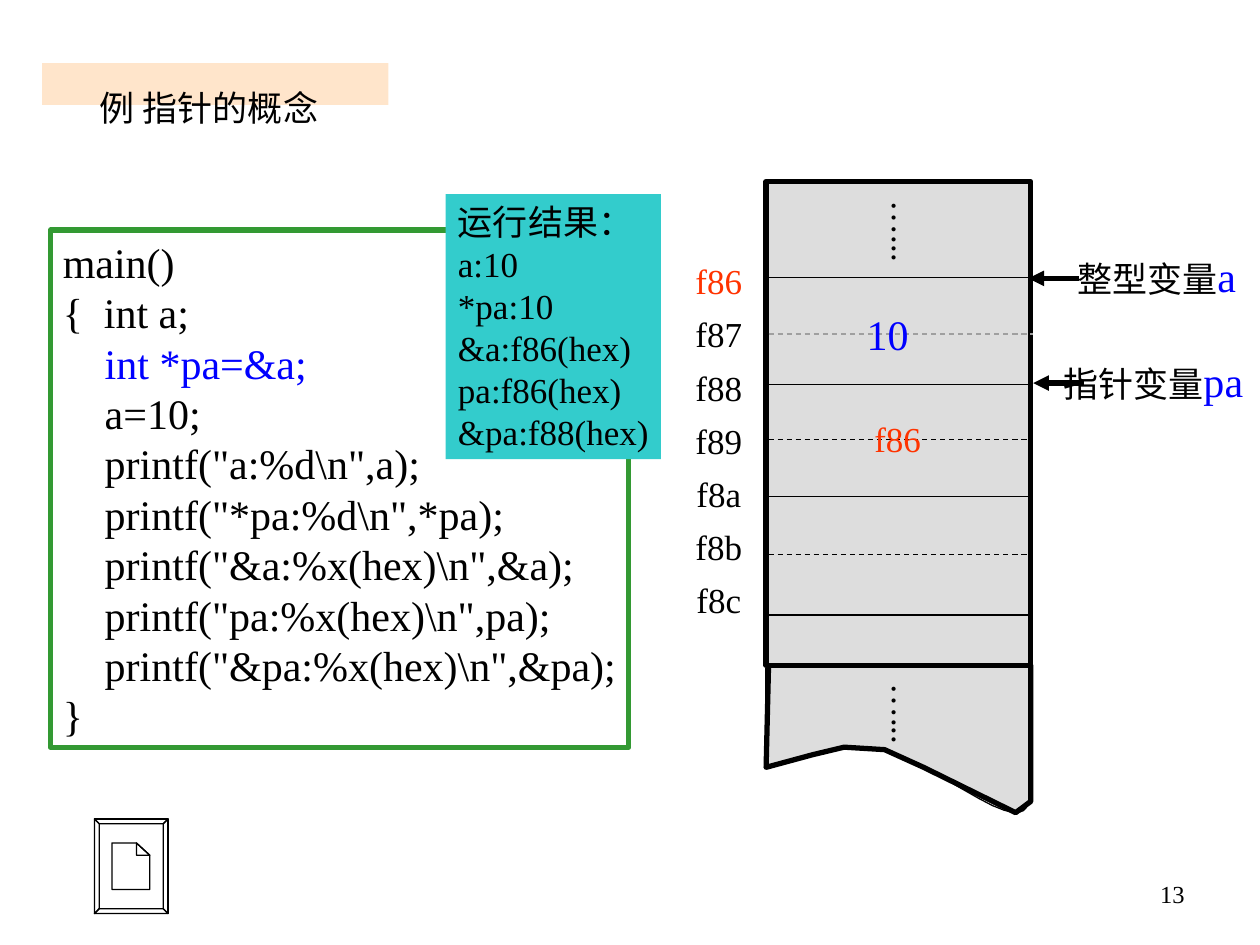
import lxml.etree
import pptx
import pptx.dml.color
import pptx.enum.dml
import pptx.enum.shapes
import pptx.enum.text
import pptx.oxml.ns
import pptx.util

Pt = pptx.util.Pt
RGBColor = pptx.dml.color.RGBColor
qn = pptx.oxml.ns.qn
ALIGN = pptx.enum.text.PP_ALIGN
ANCHOR = pptx.enum.text.MSO_ANCHOR

BLACK = RGBColor(0x00, 0x00, 0x00)
WHITE = RGBColor(0xFF, 0xFF, 0xFF)
BLUE = RGBColor(0x00, 0x00, 0xFF)
RED = RGBColor(0xFF, 0x33, 0x00)
GREEN = RGBColor(0x33, 0x99, 0x33)
TEAL = RGBColor(0x33, 0xCC, 0xCC)
PEACH = RGBColor(0xFF, 0xCC, 0x99)
MEMORY_GRAY = RGBColor(0xDD, 0xDD, 0xDD)
LINE_GRAY = RGBColor(0x9F, 0x9F, 0x9F)
FONT = "Times New Roman"

CODE = [
    "main()",
    "{  int a;",
    "    int *pa=&a;",
    "    a=10;",
    '    printf("a:%d\\n",a);',
    '    printf("*pa:%d\\n",*pa);',
    '    printf("&a:%x(hex)\\n",&a);',
    '    printf("pa:%x(hex)\\n",pa);',
    '    printf("&pa:%x(hex)\\n",&pa);',
    "}",
]
RESULTS = ["运行结果：", "a:10", "*pa:10", "&a:f86(hex)", "pa:f86(hex)", "&pa:f88(hex)"]
ADDRESSES = ["f86", "f87", "f88", "f89", "f8a", "f8b", "f8c"]


def style_run(run, size, color):
    run.font.name = FONT
    run.font.size = Pt(size)
    run.font.color.rgb = color


def write(shape, lines, size, color=BLACK, align=ALIGN.LEFT, anchor=ANCHOR.TOP):
    frame = shape.text_frame
    frame.text = "\n".join(lines)
    frame.word_wrap = False
    frame.vertical_anchor = anchor
    for paragraph in frame.paragraphs:
        paragraph.alignment = align
        for run in paragraph.runs:
            style_run(run, size, color)
    return frame


def add_text(slide, box, text, size, color=BLACK, align=ALIGN.LEFT, anchor=ANCHOR.TOP):
    shape = slide.shapes.add_textbox(*map(Pt, box))
    return write(shape, [text], size, color, align, anchor)


def paint(shape, fill=None, line=None, width=0.75):
    shape.shadow.inherit = False
    if fill is None:
        shape.fill.background()
    else:
        shape.fill.solid()
        shape.fill.fore_color.rgb = fill
    if line is None:
        shape.line.fill.background()
    else:
        shape.line.color.rgb = line
        shape.line.width = Pt(width)


def add_rectangle(slide, box, fill=None, line=None, width=0.75):
    kind = pptx.enum.shapes.MSO_SHAPE.RECTANGLE
    shape = slide.shapes.add_shape(kind, *map(Pt, box))
    paint(shape, fill, line, width)
    return shape


def add_outline(slide, contours, fill=None, width=0.75, close=True):
    builder = None
    for contour in contours:
        start, *rest = [(Pt(x), Pt(y)) for x, y in contour]
        if builder is None:
            builder = slide.shapes.build_freeform(*start)
        else:
            builder.move_to(*start)
        builder.add_line_segments(rest, close=close)
    paint(builder.convert_to_shape(), fill, BLACK, width)


def add_line(slide, start, end, color=BLACK, width=0.75, dashed=False, arrow=False):
    kind = pptx.enum.shapes.MSO_CONNECTOR.STRAIGHT
    connector = slide.shapes.add_connector(kind, *map(Pt, (*start, *end)))
    connector.line.color.rgb = color
    connector.line.width = Pt(width)
    if dashed:
        connector.line.dash_style = pptx.enum.dml.MSO_LINE.DASH
    if arrow:
        line = connector.line._get_or_add_ln()
        lxml.etree.SubElement(line, qn("a:tailEnd"), type="triangle")
    lxml.etree.SubElement(connector._element.spPr, qn("a:effectLst"))


def curve_points(start, first, second, end, steps=8):
    for step in range(steps + 1):
        t = step / steps
        weights = ((1 - t) ** 3, 3 * t * (1 - t) ** 2, 3 * t * t * (1 - t), t ** 3)
        yield tuple(sum(w * p[axis] for w, p in zip(weights, (start, first, second, end)))
                    for axis in (0, 1))


def add_title(slide, box):
    left, top, width, height = box
    band = add_rectangle(slide, box, PEACH)
    color = band.fill._xPr.find(qn("a:solidFill"))[0]
    lxml.etree.SubElement(color, qn("a:alpha"), val="50000")
    add_text(slide, (left + 26, top + 10, 143, 32), "例 指针的概念", 20)


def add_document_button(slide, box):
    left, top, width, height = box
    right, bottom, bevel = left + width, top + height, 2.7
    outer = [(left, top), (right, top), (right, bottom), (left, bottom)]
    inner = [(left + bevel, top + bevel), (right - bevel, top + bevel),
             (right - bevel, bottom - bevel), (left + bevel, bottom - bevel)]
    # Frame and its four bevelled sides
    contours = [outer]
    for side in range(4):
        after = (side + 1) % 4
        contours.append([outer[side], outer[after], inner[after], inner[side]])
    # Page with a folded corner
    x, y, page_right, page_bottom = left + 10, top + 13.7, left + 31.6, top + 40.3
    fold, corner = (x + 14, y), (page_right, y + 7)
    contours.append([(x, y), fold, corner, (page_right, page_bottom), (x, page_bottom)])
    contours.append([fold, corner, (fold[0], corner[1])])
    add_outline(slide, contours, WHITE)


def add_code(slide, box):
    panel = add_rectangle(slide, box, line=GREEN, width=3)
    frame = write(panel, CODE, 24)
    declaration = frame.paragraphs[2]
    declaration.runs[0].font.color.rgb = BLUE


def add_results(slide, box):
    write(add_rectangle(slide, box, TEAL), RESULTS, 20)


def add_torn_end(slide, box):
    left, top, width, height = box
    right = left + width

    def place(points):
        return [(left + x, top + y) for x, y in points]

    # Thin curved edge, in three arcs
    nodes = place([(0, 59), (19.4, 51), (39.6, 43.2), (62.6, 47.5), (85, 51),
                   (121, 78.5), (136, 82.8), (151.2, 87.8), (149, 77), (151.2, 75.6)])
    edge = [point for first in (0, 3, 6) for point in curve_points(*nodes[first:first + 4])]
    add_outline(slide, [edge], close=False)
    # Gray sheet
    sheet = place([(1.4, 0), (width, 0), (width, 77.8), (142.6, 84.2), (90, 58.3),
                   (67.7, 48.2), (44.6, 46.8), (26.6, 51.1), (0, 58.3)])
    add_outline(slide, [sheet], MEMORY_GRAY, 3)
    for x, length in ((left, 57), (right, 75)):
        add_line(slide, (x, top + 1.4), (x, top + length))


def add_memory(slide, box):
    left, top, width, height = box
    right = left + width
    add_torn_end(slide, (left, top + height, width, 84.2))
    add_rectangle(slide, box, MEMORY_GRAY, BLACK, 3)

    # Cell borders: every second one is dashed
    for index, y in enumerate((54.7, 87.1, 115.9, 147.6, 180, 213.1, 247.7)):
        color = LINE_GRAY if index == 1 else BLACK
        add_line(slide, (left + 1.4, top + y), (right + 1.4, top + y), color,
                 dashed=index % 2 == 1)

    # Vertical dots above and below
    for y in (3.7, 279.5):
        frame = add_text(slide, (left + 61, top + y, 38, 42.5), "…...", 20,
                         align=ALIGN.CENTER, anchor=ANCHOR.MIDDLE)
        frame._txBody.bodyPr.set("vert", "eaVert")
        frame.margin_left = frame.margin_right = Pt(3.6)
        frame.margin_top = frame.margin_bottom = Pt(7.2)

    # Addresses on the left, values in the cells
    labels = [(address, -47.5, 41 + 30.4 * index, 41, 31.5, 20, BLACK if index else RED)
              for index, address in enumerate(ADDRESSES)]
    labels += [("10", 44.4, 69, 50, 36, 24, BLUE), ("f86", 54.7, 131, 41, 31.5, 20, RED)]
    for text, x, y, label_width, label_height, size, color in labels:
        add_text(slide, (left + x, top + y, label_width, label_height), text, size, color,
                 ALIGN.CENTER, ANCHOR.MIDDLE)

    # Variables with arrows on the right
    variables = [("整型变量", "a", 55.4, -1.4, 19.4, 110), ("指针变量", "pa", 115.2, 1.4, 11.5, 122)]
    for kind, name, y, tip, x, label_width in variables:
        add_line(slide, (right + tip + 28.8, top + y), (right + tip, top + y),
                 width=3, arrow=True)
        frame = add_text(slide, (right + x, top + y - 19.4, label_width, 36), kind, 20)
        run = frame.paragraphs[0].add_run()
        run.text = name
        style_run(run, 24, BLUE)


def main():
    presentation = pptx.Presentation()
    presentation.slide_width, presentation.slide_height = Pt(720), Pt(540)
    slide = presentation.slides.add_slide(presentation.slide_layouts[6])
    # Slide number
    add_text(slide, (516, 499, 168, 37.5), "13", 14, align=ALIGN.RIGHT).word_wrap = True
    add_title(slide, (24, 36, 198, 24))
    add_document_button(slide, (54, 468, 42, 54))
    add_code(slide, (28.8, 131.5, 330.5, 295.5))
    add_results(slide, (254.6, 110.9, 123, 151.5))
    add_memory(slide, (437.8, 103.7, 151.2, 276.5))
    presentation.save("out.pptx")


if __name__ == "__main__":
    main()
